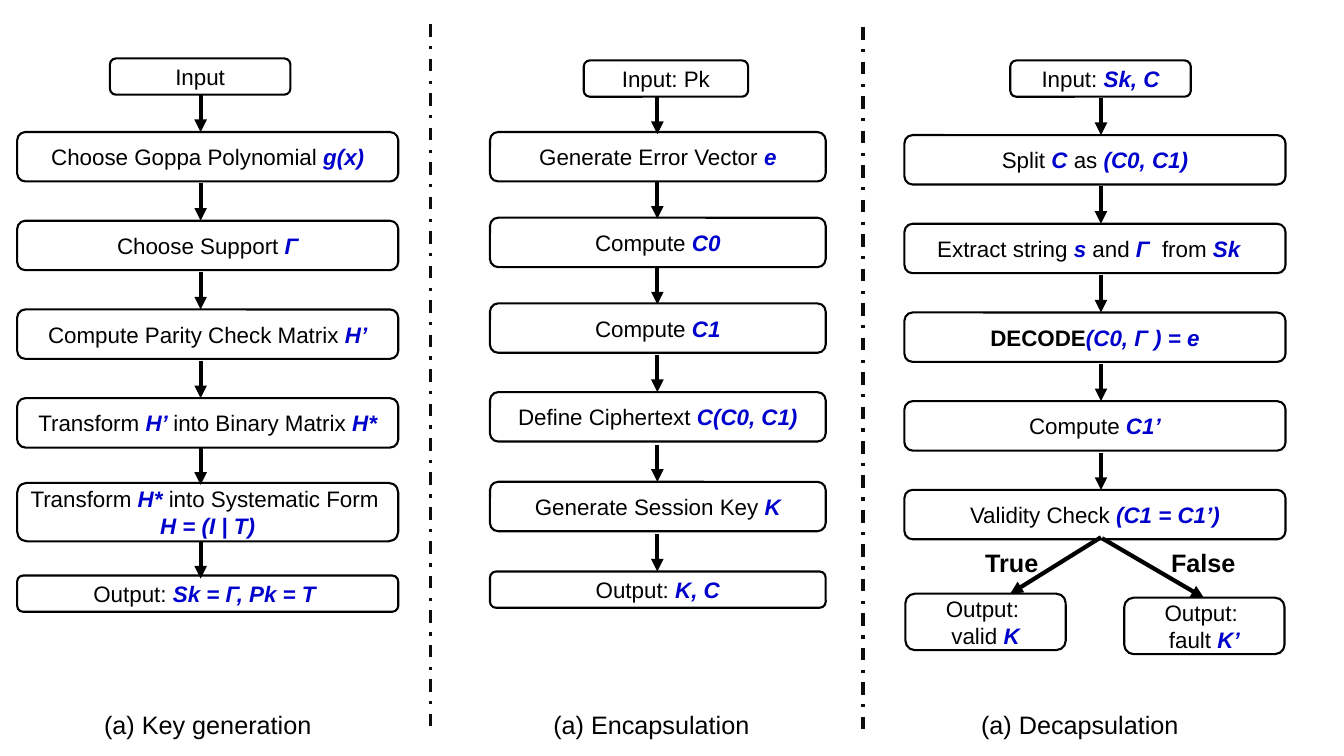
from lxml import etree
from pptx import Presentation
from pptx.dml.color import RGBColor
from pptx.enum.dml import MSO_LINE
from pptx.enum.shapes import MSO_CONNECTOR, MSO_SHAPE
from pptx.enum.text import MSO_ANCHOR, MSO_AUTO_SIZE, PP_ALIGN
from pptx.oxml.ns import qn
from pptx.util import Inches, Pt

BLACK = RGBColor(0x00, 0x00, 0x00)
DIVIDER = RGBColor(0x0D, 0x0D, 0x0D)
BLUE = RGBColor(0x00, 0x00, 0xCC)
STRAIGHT = MSO_CONNECTOR.STRAIGHT
ROUNDED = MSO_SHAPE.ROUNDED_RECTANGLE
CENTER, MIDDLE = PP_ALIGN.CENTER, MSO_ANCHOR.MIDDLE
GROW, DASH_DOT = MSO_AUTO_SIZE.SHAPE_TO_FIT_TEXT, MSO_LINE.DASH_DOT

PLAIN = {"bold": False, "italic": False}
SYMBOL = {"bold": True, "italic": True}

# Grid: row height, row pitch, short box height, arrow length
ROW, PITCH, SHORT, ARROW = 0.49, 0.88, 0.36, 0.37

prs = Presentation()
prs.slide_width, prs.slide_height = Inches(13.33), Inches(7.5)
slide = prs.slides.add_slide(prs.slide_layouts[6])
shapes = slide.shapes


def write(sp, text, size):
    """Fill a shape with centred lines; parts between underscores are symbols."""
    tf = sp.text_frame
    tf.word_wrap = True
    for i, line in enumerate(text.split("\n")):
        p = tf.paragraphs[0] if i == 0 else tf.add_paragraph()
        p.alignment = CENTER
        for j, part in enumerate(line.split("_")):
            if not part:
                continue
            r = p.add_run()
            r.text = part
            r.font.name, r.font.size = "Arial", Pt(size)
            r.font.color.rgb = BLUE if j % 2 else BLACK
            for name, value in (SYMBOL if j % 2 else PLAIN).items():
                setattr(r.font, name, value)
    return tf


def connect(x1, y1, x2, y2, color, width):
    """Draw a straight line without a shadow."""
    cx = shapes.add_connector(STRAIGHT, Inches(x1), Inches(y1), Inches(x2), Inches(y2))
    cx.line.color.rgb = color
    cx.line.width = Pt(width)
    etree.SubElement(cx._element.spPr, qn("a:effectLst"))
    return cx


# Each column: left, width, arrow axis, input box (left, top, width, text),
# then its steps (top, height, text)
columns = [
    (0.17, 3.78, 1.99, (1.09, 0.58, 1.79, "Input"), [
        (1.31, ROW, "Choose Goppa Polynomial _g(x)_"),
        (1.31 + PITCH, ROW, "Choose Support _Γ_"),
        (1.31 + 2 * PITCH, ROW, "Compute Parity Check Matrix _H’_"),
        (1.31 + 3 * PITCH, ROW, "Transform _H’ _into Binary Matrix _H*_"),
        (4.79, 0.58, "Transform _H* _into Systematic Form \n_H = (I | T)_"),
        (5.71, SHORT, "Output: _Sk = Γ, Pk = T _"),
    ]),
    (4.86, 3.33, 6.52, (5.79, 0.6, 1.63, "Input: Pk"), [
        (1.31, ROW, "Generate Error Vector _e_"),
        (2.16, ROW, "Compute _C0_"),
        (3.01, ROW, "Compute_ C1_"),
        (3.89, ROW, "Define Ciphertext _C(C0, C1)_"),
        (4.78, ROW, "Generate Session Key_ K_"),
        (5.67, SHORT, "Output: _K, C_"),
    ]),
    (8.97, 3.78, 10.92, (10.02, 0.6, 1.79, "Input: _Sk, C_"), [
        (1.34 + k * PITCH, ROW, text) for k, text in enumerate([
            "Split _C_ as _(C0, C1)_",
            "Extract string _s _and _Γ  _from _Sk  _",
            "DECODE_(C0, Γ ) = e_",
            "Compute_ C1’_",
            "Validity Check _(C1 = C1’)_",
        ])
    ]),
]

# Collect boxes and the arrows between consecutive steps
boxes, arrows = [], []
for left, width, axis, (in_left, in_top, in_width, in_text), steps in columns:
    boxes.append((in_left, in_top, in_width, SHORT, in_text))
    bottom = in_top + SHORT
    for top, height, text in steps:
        boxes.append((left, top, width, height, text))
        start = max(bottom, top - ARROW)
        arrows.append((axis, start, axis, start + ARROW))
        bottom = top + height

# Branches of the validity check
boxes += [(8.98, 5.89, 1.59, 0.56, "Output: \nvalid _K_"),
          (11.15, 5.93, 1.59, 0.56, "Output: \nfault _K’_")]
arrows += [(10.92, 5.33, 10.02, 5.89), (10.93, 5.34, 11.94, 5.93)]

# Boxes
for *place, text in boxes:
    sp = shapes.add_shape(ROUNDED, *map(Inches, place))
    sp.shadow.inherit = False
    sp.fill.background()
    sp.line.color.rgb = BLACK
    sp.line.width = Pt(1.5)
    tf = write(sp, text, 16)
    tf.vertical_anchor = MIDDLE
    if text.startswith("DECODE"):
        tf.paragraphs[0].runs[0].font.bold = True

# Arrows
for ends in arrows:
    ln = connect(*ends, BLACK, 3)._element.spPr.find(qn("a:ln"))
    etree.SubElement(ln, qn("a:tailEnd"), type="triangle")

# Column dividers
for x, y in [(4.27, 0.24), (8.56, 0.27)]:
    connect(x, y, x, y + 7.01, DIVIDER, 2.25).line.dash_style = DASH_DOT

# Captions and branch labels
labels = [(0.17, 6.99, 3.78, "(a) Key generation"),
          (4.57, 6.99, 3.78, "(a) Encapsulation"),
          (8.82, 6.99, 3.78, "(a) Decapsulation"),
          (9.38, 5.38, 1.31, "True"),
          (11.28, 5.38, 1.31, "False")]
for x, y, w, text in labels:
    tb = shapes.add_textbox(Inches(x), Inches(y), Inches(w), Inches(0.4))
    tf = write(tb, text, 18)
    tf.auto_size = GROW
    tf.paragraphs[0].runs[0].font.bold = text in ("True", "False")

prs.save("out.pptx")
